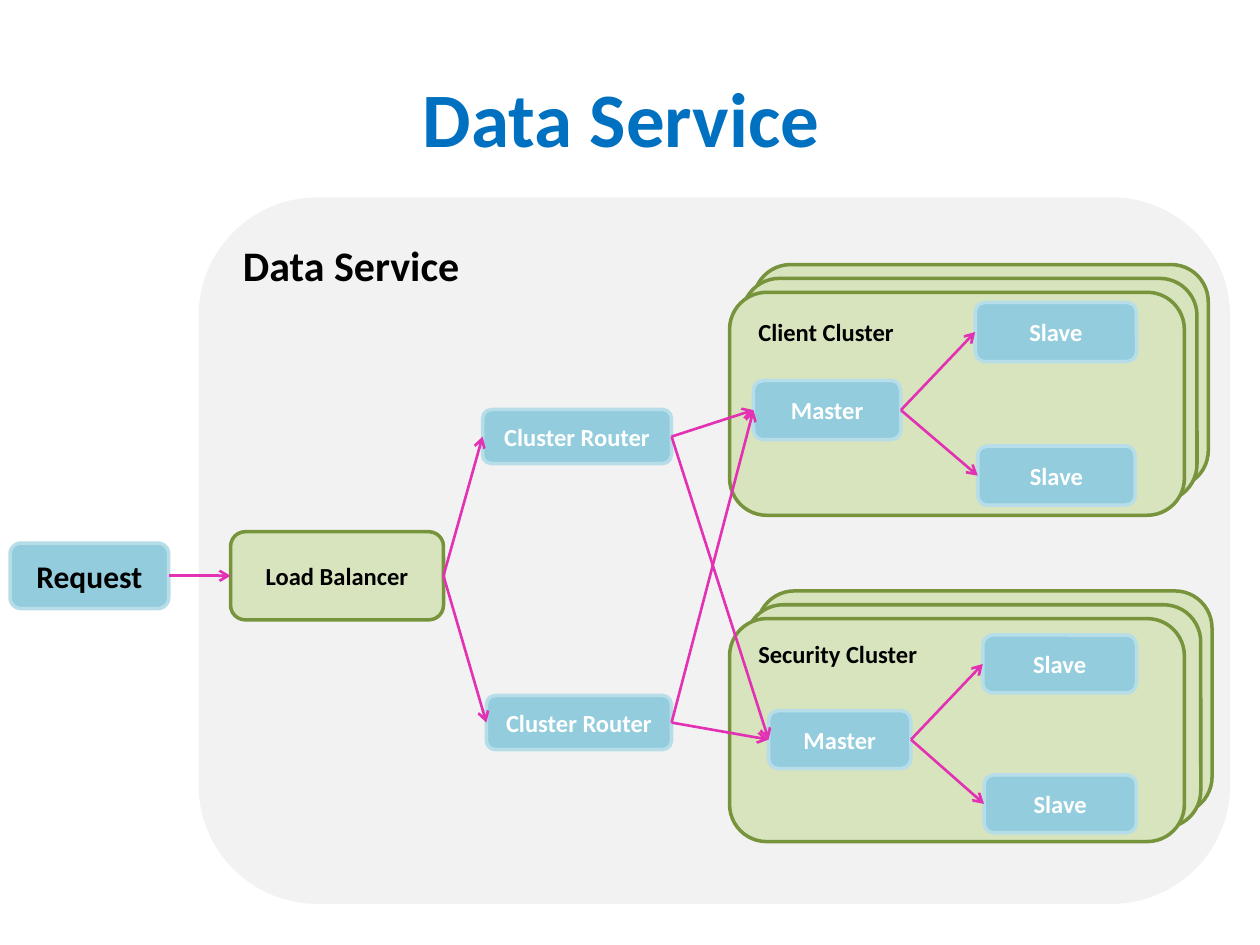
import pptx
from pptx.dml.color import RGBColor
from pptx.enum.shapes import MSO_CONNECTOR, MSO_SHAPE
from pptx.enum.text import MSO_ANCHOR, PP_ALIGN
from pptx.oxml.ns import qn
from pptx.util import Inches, Pt
from lxml import etree

BLACK = RGBColor(0x00, 0x00, 0x00)
WHITE = RGBColor(0xFF, 0xFF, 0xFF)
TITLE_BLUE = RGBColor(0x00, 0x70, 0xC0)
GREY = RGBColor(0xF2, 0xF2, 0xF2)
GREEN, DARK_GREEN = RGBColor(0xD7, 0xE4, 0xBD), RGBColor(0x77, 0x93, 0x3C)
AQUA, PALE_AQUA = RGBColor(0x93, 0xCD, 0xDD), RGBColor(0xB7, 0xDE, 0xE8)
PINK = RGBColor(0xE3, 0x31, 0xB4)

RIGHT_SIDE, LEFT_SIDE = 3, 1

SERVICE_AREA = (1.59, 1.58, 8.16, 5.58)

# Each cluster is a stack of panels, back to front
CARD_SIZE = (3.61, 1.77)
CLUSTER_STACKS = [
    [(5.98, 2.10), (5.89, 2.21), (5.79, 2.32)],
    [(6.01, 4.69), (5.92, 4.80), (5.79, 4.91)],
]

# text, size, place
HEADINGS = [
    ("Data Service", 24, (1.83, 1.85, 2.17, 0.5)),
    ("Client Cluster", 14, (5.92, 2.47, 2.11, 0.34)),
    ("Security Cluster", 14, (5.92, 5.02, 2.5, 0.51)),
]

# key: text, place, fill, outline, font format
NODE_FONT = {"size": Pt(14), "color": WHITE}
NODES = {
    "request": ("Request", (0.08, 4.31, 1.26, 0.52), AQUA, PALE_AQUA,
                {"size": Pt(18), "color": BLACK}),
    "balancer": ("Load Balancer", (1.83, 4.22, 1.69, 0.7), GREEN, DARK_GREEN,
                 {"size": Pt(14), "color": BLACK}),
    "router 1": ("Cluster Router", (3.83, 3.25, 1.5, 0.43), AQUA, PALE_AQUA, NODE_FONT),
    "router 2": ("Cluster Router", (3.86, 5.52, 1.47, 0.43), AQUA, PALE_AQUA, NODE_FONT),
    "client master": ("Master", (5.98, 3.02, 1.17, 0.47), AQUA, PALE_AQUA, NODE_FONT),
    "client slave 1": ("Slave", (7.74, 2.4, 1.28, 0.47), AQUA, PALE_AQUA, NODE_FONT),
    "client slave 2": ("Slave", (7.76, 3.54, 1.25, 0.47), AQUA, PALE_AQUA, NODE_FONT),
    "security master": ("Master", (6.1, 5.64, 1.13, 0.46), AQUA, PALE_AQUA, NODE_FONT),
    "security slave 1": ("Slave", (7.8, 5.04, 1.22, 0.46), AQUA, PALE_AQUA, NODE_FONT),
    "security slave 2": ("Slave", (7.81, 6.15, 1.21, 0.46), AQUA, PALE_AQUA, NODE_FONT),
}

FLOWS = {
    "request": ["balancer"],
    "balancer": ["router 1", "router 2"],
    "router 1": ["client master", "security master"],
    "router 2": ["client master", "security master"],
    "client master": ["client slave 1", "client slave 2"],
    "security master": ["security slave 1", "security slave 2"],
}


def write(shape, text, align, size, color):
    paragraph = shape.text_frame.paragraphs[0]
    paragraph.text = text
    paragraph.alignment = align
    font = paragraph.runs[0].font
    for name, value in {"name": "Calibri", "size": size, "bold": True}.items():
        setattr(font, name, value)
    font.color.rgb = color


def add_panel(slide, place, fill, outline):
    panel = slide.shapes.add_shape(MSO_SHAPE.ROUNDED_RECTANGLE, *map(Inches, place))
    panel.shadow.inherit = False
    panel.fill.solid()
    panel.fill.fore_color.rgb = fill
    panel.line.color.rgb = outline
    panel.line.width = Pt(2)
    return panel


def add_arrow(slide, source, target):
    arrow = slide.shapes.add_connector(MSO_CONNECTOR.STRAIGHT, 0, 0, 0, 0)
    arrow.begin_connect(source, RIGHT_SIDE)
    arrow.end_connect(target, LEFT_SIDE)
    arrow.line.color.rgb = PINK
    arrow.line.width = Pt(1.5)
    properties = arrow.element.spPr
    etree.SubElement(properties.find(qn("a:ln")), qn("a:tailEnd"), type="arrow")
    etree.SubElement(properties, qn("a:effectLst"))


def main():
    deck = pptx.Presentation()
    deck.slide_width, deck.slide_height = Inches(10), Inches(7.5)
    slide = deck.slides.add_slide(deck.slide_layouts[5])

    title = slide.shapes.title
    title.left, title.top, title.width, title.height = map(Inches, (0.5, 0.3, 9, 1.25))
    title.text_frame.vertical_anchor = MSO_ANCHOR.MIDDLE
    write(title, "Data Service ", PP_ALIGN.CENTER, Pt(44), TITLE_BLUE)

    add_panel(slide, SERVICE_AREA, GREY, GREY)
    for stack in CLUSTER_STACKS:
        for corner in stack:
            add_panel(slide, corner + CARD_SIZE, GREEN, DARK_GREEN)

    for text, size, place in HEADINGS:
        heading = slide.shapes.add_textbox(*map(Inches, place))
        heading.text_frame.word_wrap = True
        write(heading, text, PP_ALIGN.LEFT, Pt(size), BLACK)

    nodes = {}
    for key, (text, place, fill, outline, font) in NODES.items():
        nodes[key] = add_panel(slide, place, fill, outline)
        nodes[key].text_frame.vertical_anchor = MSO_ANCHOR.MIDDLE
        write(nodes[key], text, PP_ALIGN.CENTER, **font)

    for source, targets in FLOWS.items():
        for target in targets:
            add_arrow(slide, nodes[source], nodes[target])

    deck.save("out.pptx")


if __name__ == "__main__":
    main()
